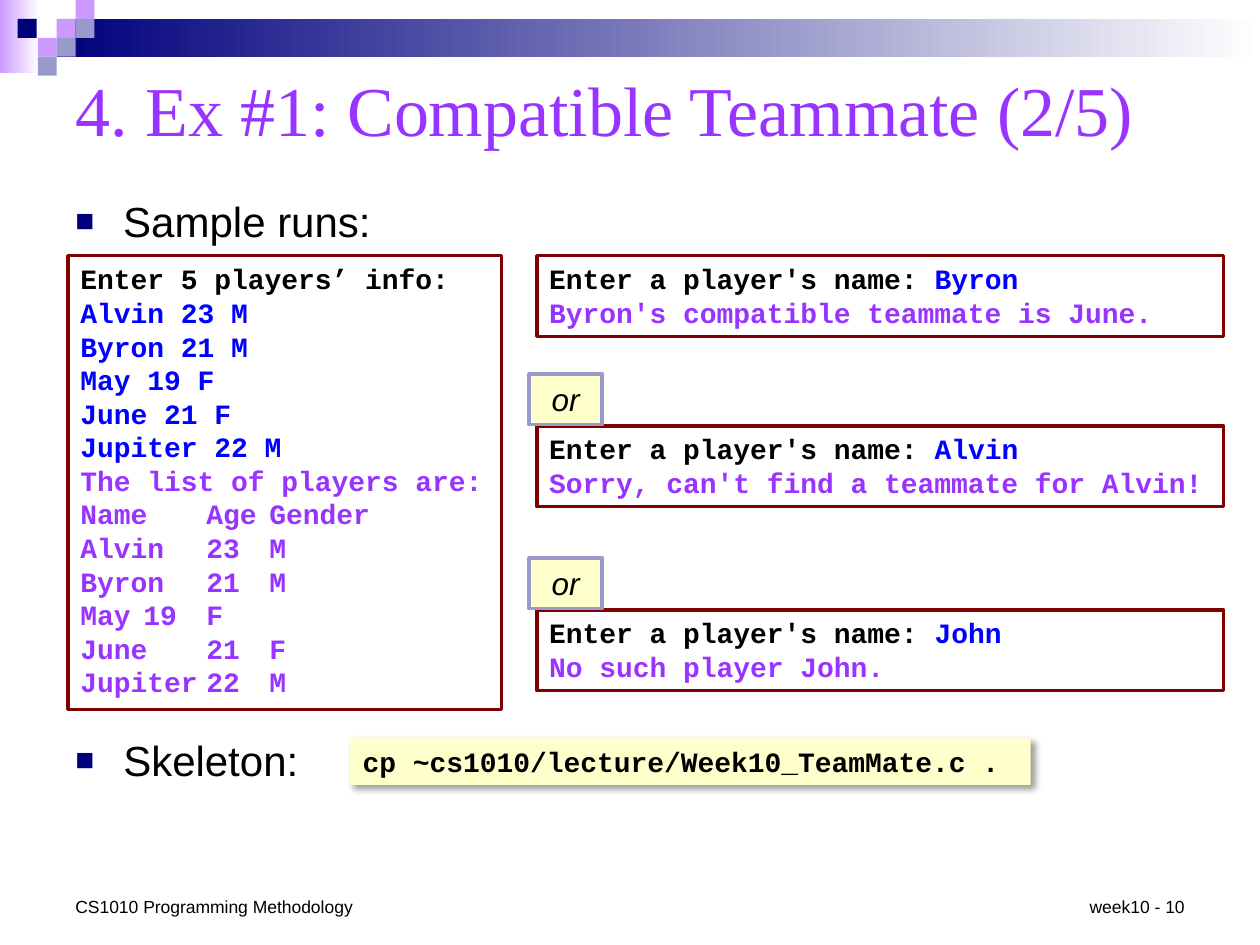
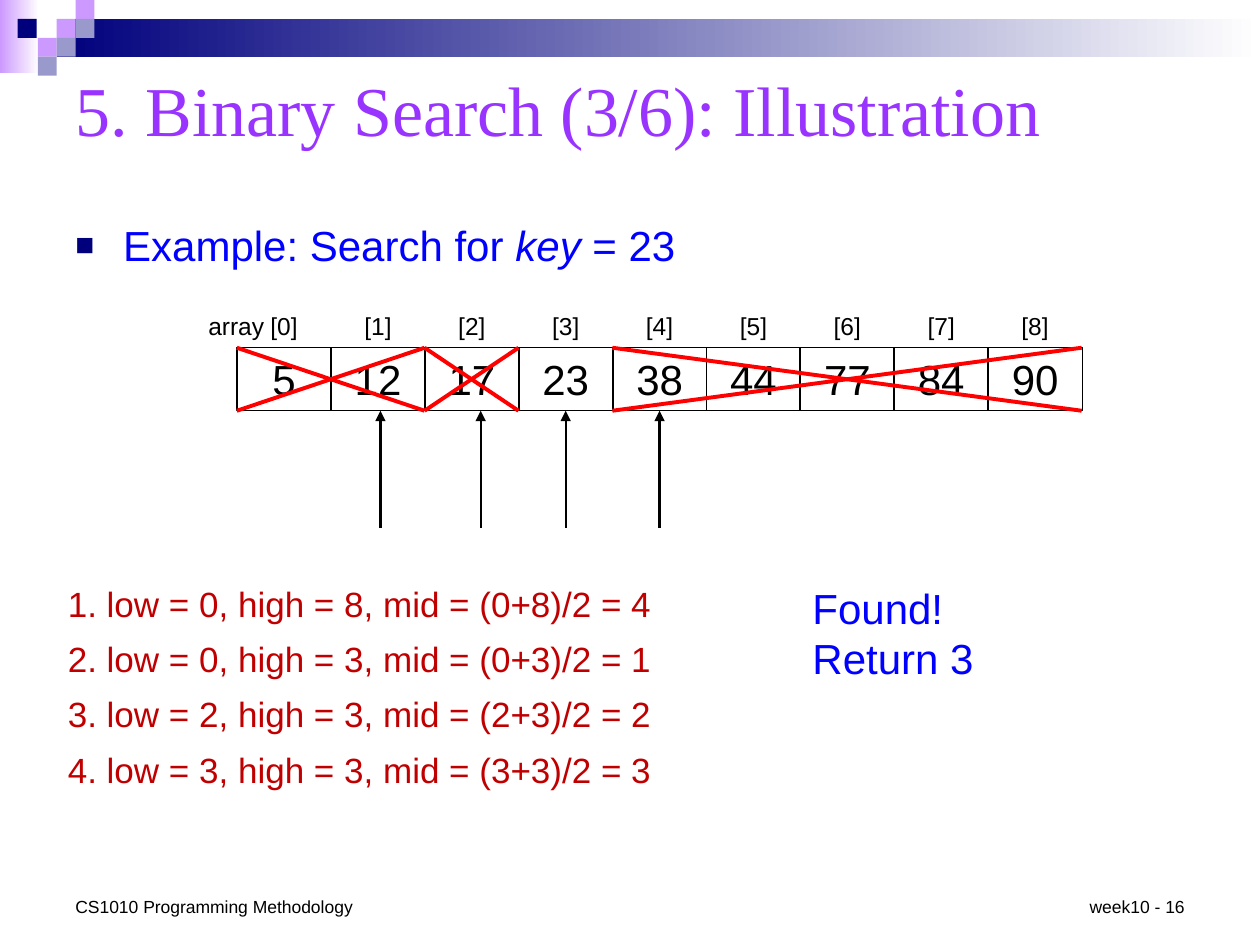
"""Builds two lecture slides: sample runs of an exercise and a binary search illustration."""
import dataclasses

import lxml.etree
import pptx
import pptx.dml.color
import pptx.enum.dml
import pptx.enum.shapes
import pptx.enum.text
import pptx.oxml.ns
import pptx.util

Inches = pptx.util.Inches
Pt = pptx.util.Pt
qn = pptx.oxml.ns.qn
Align = pptx.enum.text.PP_ALIGN
Anchor = pptx.enum.text.MSO_ANCHOR
AutoSize = pptx.enum.text.MSO_AUTO_SIZE


@dataclasses.dataclass(frozen=True)
class Type:
    font: str
    size: int
    color: str
    bold: bool = False
    italic: bool = False

    def but(self, **changes):
        return dataclasses.replace(self, **changes)


@dataclasses.dataclass(frozen=True)
class Theme:
    navy: str = "00007D"
    lilac: str = "CC99FF"
    slate: str = "9999CC"
    white: str = "FFFFFF"
    cream: str = "FFFFCC"
    maroon: str = "800000"
    black: str = "000000"
    red: str = "FF0000"
    blue: str = "0000FF"
    purple: str = "9933FF"
    title: Type = Type("Times New Roman", 40, "9933FF")
    body: Type = Type("Arial", 24, "000000")
    choice: Type = Type("Arial", 18, "000000", italic=True)
    step: Type = Type("Arial", 20, "C00000")
    index: Type = Type("Arial", 14, "000000")
    footer: Type = Type("Arial", 10, "000000")
    prompt: Type = Type("Courier New", 16, "000000", bold=True)


def rgb(value):
    return pptx.dml.color.RGBColor.from_string(value)


def add_xml(parent, tag, **attributes):
    return lxml.etree.SubElement(parent, qn(tag), attributes)


class Deck:
    def __init__(self, theme):
        self.theme = theme
        self.presentation = pptx.Presentation()
        self.presentation.slide_width = Inches(10)
        self.presentation.slide_height = Inches(7.5)
        self.slide = None

    def start(self, heading, page):
        theme = self.theme
        self.slide = self.presentation.slides.add_slide(self.presentation.slide_layouts[5])
        self.gradient(0, 0, 0.31, 0.58, theme.lilac)
        self.gradient(0.45, 0.15, 9.55, 0.3, theme.navy)
        for left, top, color in (
            (0.45, 0.15, theme.lilac), (0.6, 0, theme.lilac), (0.6, 0.15, theme.slate),
            (0.3, 0.3, theme.lilac), (0.14, 0.15, theme.navy), (0.45, 0.3, theme.slate),
            (0.3, 0.45, theme.slate),
        ):
            self.rectangle(left, top, 0.15, 0.15, fill=color)
        title = self.slide.shapes.title
        title.left, title.top = Inches(0.5), Inches(0.42)
        title.width, title.height = Inches(9), Inches(0.88)
        self.add_lines(title, [[(heading, theme.title)]], anchor=Anchor.MIDDLE, grow=False)
        self.text(0.5, 7.06, 2.42, 0.27, [[("CS1010 Programming Methodology", theme.footer)]],
                  anchor=Anchor.BOTTOM)
        self.text(8.51, 7.06, 0.99, 0.27, [[(f"week10 - {page}", theme.footer)]],
                  align=Align.RIGHT, anchor=Anchor.BOTTOM, wrap=False)

    def add_lines(self, holder, lines, align=Align.LEFT, anchor=Anchor.TOP, wrap=True, grow=True):
        frame = holder.text_frame
        frame.word_wrap = wrap
        frame.auto_size = AutoSize.SHAPE_TO_FIT_TEXT if grow else AutoSize.NONE
        frame.vertical_anchor = anchor
        for number, line in enumerate(lines):
            paragraph = frame.add_paragraph() if number else frame.paragraphs[0]
            paragraph.alignment = align
            for words, style in line:
                run = paragraph.add_run()
                run.text = words
                run.font.name = style.font
                run.font.size = Pt(style.size)
                run.font.bold = style.bold
                run.font.italic = style.italic
                run.font.color.rgb = rgb(style.color)

    def text(self, left, top, width, height, lines, **layout):
        holder = self.slide.shapes.add_textbox(
            Inches(left), Inches(top), Inches(width), Inches(height))
        self.add_lines(holder, lines, **layout)
        return holder

    def bullet(self, top, width, runs, before=6):
        paragraph = self.text(0.5, top, width, 0.5, [runs]).text_frame.paragraphs[0]
        paragraph.space_before = Pt(before)
        properties = paragraph._p.get_or_add_pPr()
        properties.set("marL", str(Inches(0.38)))
        properties.set("indent", str(-Inches(0.38)))
        add_xml(add_xml(properties, "a:buClr"), "a:srgbClr", val=self.theme.navy)
        add_xml(properties, "a:buSzPct", val="75000")
        add_xml(properties, "a:buFont", typeface="Arial")
        add_xml(properties, "a:buChar", char="■")

    def rectangle(self, left, top, width, height, lines=(), fill=None, line=None, weight=2,
                  align=Align.LEFT):
        box = self.slide.shapes.add_shape(
            pptx.enum.shapes.MSO_SHAPE.RECTANGLE,
            Inches(left), Inches(top), Inches(width), Inches(height))
        box.shadow.inherit = False
        if fill:
            box.fill.solid()
            box.fill.fore_color.rgb = rgb(fill)
        else:
            box.fill.background()
        if line:
            box.line.color.rgb = rgb(line)
            box.line.width = Pt(weight)
        else:
            box.line.fill.background()
        if lines:
            self.add_lines(box, lines, align)
        return box

    def gradient(self, left, top, width, height, color):
        band = self.rectangle(left, top, width, height)
        band.fill.gradient()
        band.fill.gradient_angle = 0
        for stop, shade in zip(band.fill.gradient_stops, (color, self.theme.white)):
            stop.color.rgb = rgb(shade)

    def cast_shadow(self, box):
        shadow = add_xml(box._element.spPr.find(qn("a:effectLst")), "a:outerShdw",
                         blurRad=str(Pt(4)), dist=str(Pt(3)), dir="2700000",
                         algn="tl", rotWithShape="0")
        color = add_xml(shadow, "a:srgbClr", val=self.theme.black)
        add_xml(color, "a:alpha", val="40000")

    def connector(self, x1, y1, x2, y2, color, weight, arrow=False):
        link = self.slide.shapes.add_connector(
            pptx.enum.shapes.MSO_CONNECTOR.STRAIGHT,
            Inches(x1), Inches(y1), Inches(x2), Inches(y2))
        link.line.color.rgb = rgb(color)
        link.line.width = Pt(weight)
        if arrow:
            add_xml(link.line._get_or_add_ln(), "a:tailEnd", type="triangle")
        add_xml(link._element.spPr, "a:effectLst")
        return link

    def transcript(self, left, top, width, height, lines):
        self.rectangle(left, top, width, height, lines, self.theme.white, self.theme.maroon)


def sample_runs(deck):
    theme = deck.theme
    prompt = theme.prompt
    typed, printed = prompt.but(color=theme.blue), prompt.but(color=theme.purple)
    players = [("Alvin", 23, "M"), ("Byron", 21, "M"), ("May", 19, "F"),
               ("June", 21, "F"), ("Jupiter", 22, "M")]
    deck.start("4. Ex #1: Compatible Teammate (2/5)", 10)
    deck.bullet(1.5, 2.57, [("Sample runs:", theme.body)])
    deck.bullet(5.78, 1.98, [("Skeleton:", theme.body)])

    session = [[("Enter 5 players’ info:", prompt)]]
    session += [[(f"{name} {age} {gender}", typed)] for name, age, gender in players]
    session += [[("The list of players are:", printed)], [("Name\tAge\tGender", printed)]]
    session += [[(f"{name}\t{age}\t{gender}", printed)] for name, age, gender in players]
    deck.transcript(0.54, 2.03, 3.44, 3.6, session)

    queries = [
        (2.03, "Byron", "Byron's compatible teammate is June."),
        (3.38, "Alvin", "Sorry, can't find a teammate for Alvin!"),
        (4.84, "John", "No such player John."),
    ]
    for number, (top, name, answer) in enumerate(queries):
        deck.transcript(4.26, top, 5.45, 0.64, [
            [("Enter a player's name: ", prompt), (name, typed)], [(answer, printed)]])
        if number:
            deck.rectangle(4.2, top - 0.41, 0.58, 0.4, [[("or", theme.choice)]],
                           theme.cream, theme.slate, align=Align.CENTER)

    command = deck.rectangle(2.78, 5.86, 5.4, 0.37,
                             [[("cp ~cs1010/lecture/Week10_TeamMate.c .", prompt)]], theme.cream)
    deck.cast_shadow(command)


def binary_search(deck):
    theme = deck.theme
    found = theme.body.but(color=theme.blue)
    deck.start("5. Binary Search (3/6): Illustration", 16)
    deck.bullet(1.69, 9, [("Example: Search for ", found), ("key", found.but(italic=True)),
                          (" = 23", found)], before=5)

    array_left, cell_top, cell_bottom, cell_width = 1.88, 2.76, 3.26, 0.75
    pitch = 5.96 / 8
    cells = []
    for index, value in enumerate((5, 12, 17, 23, 38, 44, 77, 84, 90)):
        left = array_left + index * pitch
        cells.append(deck.rectangle(left, cell_top, cell_width, cell_bottom - cell_top,
                                    [[(str(value), theme.body)]], line=theme.black,
                                    weight=0.75, align=Align.CENTER))
        deck.text(left, 2.42, cell_width, 0.34, [[(f"[{index}]", theme.index)]],
                  align=Align.CENTER)
    deck.text(1.5, 2.42, cell_width, 0.34, [[("array", theme.index)]], align=Align.CENTER)

    for first, end in ((4, 9), (0, 2), (2, 3)):
        left, right = array_left + first * pitch, array_left + end * pitch
        deck.connector(left, cell_top, right, cell_bottom, theme.red, 2.25)
        deck.connector(left, cell_bottom, right, cell_top, theme.red, 2.25)

    probes = [(0, 8, 4, 0), (0, 3, 1, 0.02), (2, 3, 2, 0.07), (3, 3, 3, 0)]
    for number, (low, high, mid, offset) in enumerate(probes):
        x = array_left + mid * pitch + cell_width / 2 + offset
        pointer = deck.connector(x, 4.19, x, cell_bottom, theme.black, 1.25, arrow=True)
        if not offset:
            pointer.end_connect(cells[mid], 2)
        step = f"{number + 1}. low = {low}, high = {high}, mid = ({low}+{high})/2 = {mid}"
        deck.text(0.44, 4.57 + number * 0.44, 5.16, 0.44, [[(step, theme.step)]])
    deck.text(6.35, 4.57, 1.84, 0.91, [[("Found!", found)], [("Return 3", found)]])


def main():
    deck = Deck(Theme())
    sample_runs(deck)
    binary_search(deck)
    deck.presentation.save("out.pptx")


if __name__ == "__main__":
    main()
